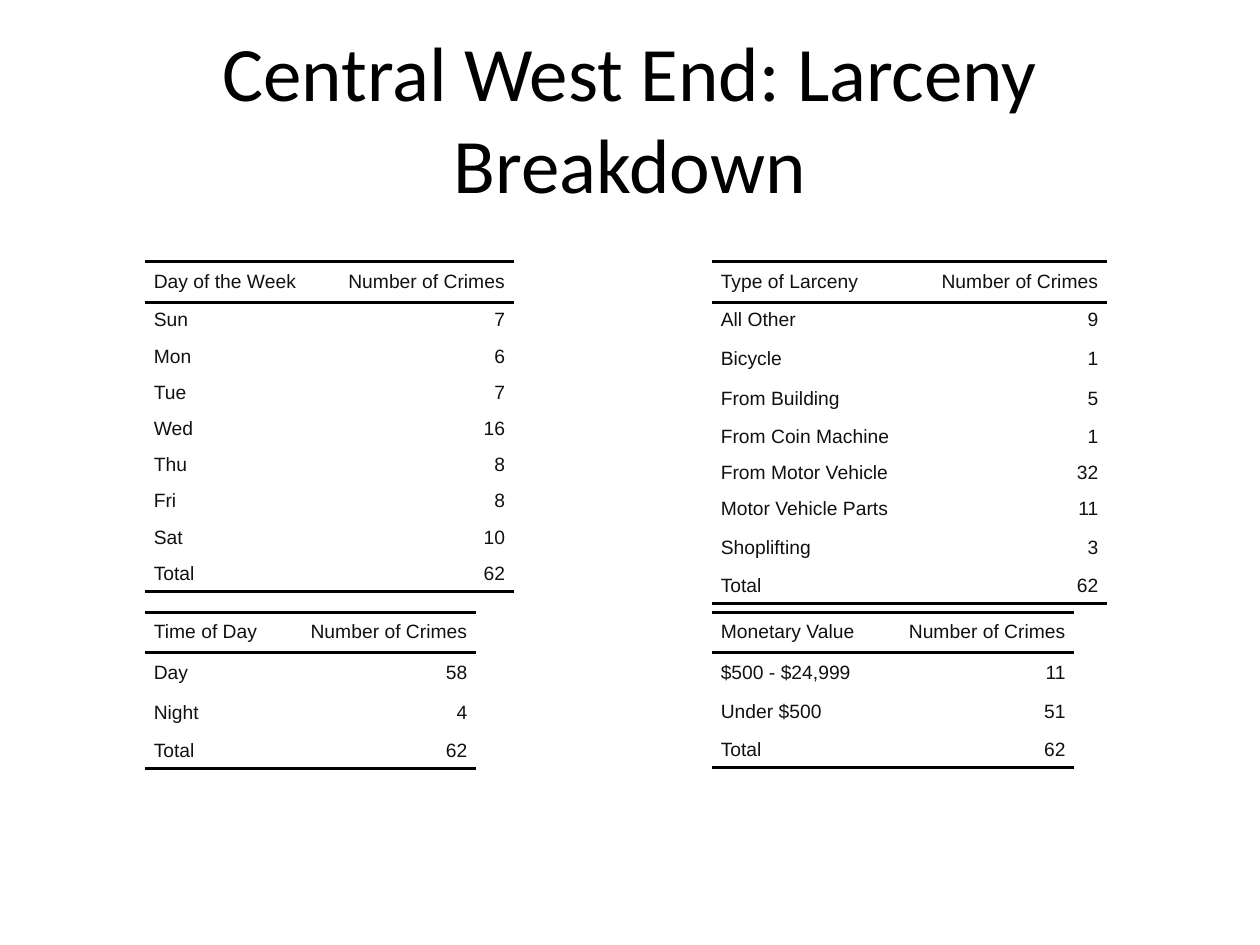
import dataclasses

import lxml.etree
import pptx
import pptx.dml.color
import pptx.enum.text
import pptx.oxml.ns
import pptx.util

Cm = pptx.util.Cm
Pt = pptx.util.Pt
ALIGN = pptx.enum.text.PP_ALIGN
MIDDLE = pptx.enum.text.MSO_ANCHOR.MIDDLE


@dataclasses.dataclass(frozen=True)
class Theme:
    """Colours, fonts and sizes of the slide."""
    title_font: str = "Calibri"
    title_size: int = 44
    title_color: str = "000000"
    table_font: str = "Arial"
    table_size: int = 11
    table_color: str = "111111"
    rule_color: str = "000000"
    rule_width: int = 2
    plain_table_style: str = "{2D5ABB26-0587-4C30-8999-92F81FD0307C}"


THEME = Theme()
TALL, MEDIUM, SHORT = 0.81, 0.79, 0.73
COUNT_WIDTH = 3.86
LEFT, RIGHT = 2.92, 14.35
TOP, BOTTOM = 5.28, 12.34

BREAKDOWNS = [
    (LEFT, TOP, 3.58, "Day of the Week",
     [("Sun", 7, SHORT), ("Mon", 6, SHORT), ("Tue", 7, SHORT),
      ("Wed", 16, SHORT), ("Thu", 8, SHORT), ("Fri", 8, SHORT),
      ("Sat", 10, SHORT), ("Total", 62, SHORT)]),
    (LEFT, BOTTOM, 2.82, "Time of Day",
     [("Day", 58, TALL), ("Night", 4, TALL), ("Total", 62, SHORT)]),
    (RIGHT, TOP, 4.11, "Type of Larceny",
     [("All Other", 9, SHORT), ("Bicycle", 1, TALL),
      ("From Building", 5, TALL), ("From Coin Machine", 1, SHORT),
      ("From Motor Vehicle", 32, SHORT), ("Motor Vehicle Parts", 11, SHORT),
      ("Shoplifting", 3, TALL), ("Total", 62, SHORT)]),
    (RIGHT, BOTTOM, 3.45, "Monetary Value",
     [("$500 - $24,999", 11, TALL), ("Under $500", 51, MEDIUM),
      ("Total", 62, SHORT)]),
]


def style_font(font, name, size, color):
    """Set the typeface, size and colour of a font."""
    font.name = name
    font.size = Pt(size)
    font.color.rgb = pptx.dml.color.RGBColor.from_string(color)


def add_title(slide, left, top, width, height, text):
    """Place the centred slide title in the given box."""
    text_frame = slide.shapes.add_textbox(
        Cm(left), Cm(top), Cm(width), Cm(height)).text_frame
    text_frame.word_wrap = True
    text_frame.vertical_anchor = MIDDLE
    text_frame.text = text
    paragraph = text_frame.paragraphs[0]
    paragraph.alignment = ALIGN.CENTER
    style_font(paragraph.runs[0].font, THEME.title_font, THEME.title_size,
               THEME.title_color)


def add_rule(cell, side):
    """Draw a solid border on one side of a cell."""
    qn = pptx.oxml.ns.qn
    properties = cell._tc.get_or_add_tcPr()
    line = lxml.etree.SubElement(properties, qn(f"a:ln{side}"),
                                 w=str(Pt(THEME.rule_width)))
    fill = lxml.etree.SubElement(line, qn("a:solidFill"))
    lxml.etree.SubElement(fill, qn("a:srgbClr"), val=THEME.rule_color)


def fill_cell(cell, text, alignment, rules):
    """Write one table cell with its alignment, indents and borders."""
    cell.margin_left = cell.margin_right = 0
    cell.margin_top = cell.margin_bottom = 0
    cell.vertical_anchor = MIDDLE
    for side in rules:
        add_rule(cell, side)
    cell.fill.background()
    cell.text_frame.text = text
    paragraph = cell.text_frame.paragraphs[0]
    paragraph.alignment = alignment
    properties = paragraph._p.get_or_add_pPr()
    for margin in ("marL", "marR"):
        properties.set(margin, str(Cm(0.18)))
    style_font(paragraph.runs[0].font, THEME.table_font, THEME.table_size,
               THEME.table_color)


def add_breakdown(slide, left, top, label_width, heading, entries):
    """Place a two-column table of crime counts at the given corner."""
    rows = [(heading, "Number of Crimes", TALL), *entries]
    widths = (label_width, COUNT_WIDTH)
    table = slide.shapes.add_table(
        len(rows), len(widths), Cm(left), Cm(top), Cm(sum(widths)),
        Cm(sum(height for _, _, height in rows))).table
    table.first_row = table.horz_banding = False
    table._tbl.tblPr.find(
        pptx.oxml.ns.qn("a:tableStyleId")).text = THEME.plain_table_style
    for column, width in zip(table.columns, widths):
        column.width = Cm(width)
    rules = {0: "TB", len(rows) - 1: "B"}
    for index, (label, count, height) in enumerate(rows):
        table.rows[index].height = Cm(height)
        sides = rules.get(index, "")
        fill_cell(table.cell(index, 0), label, ALIGN.LEFT, sides)
        fill_cell(table.cell(index, 1), str(count), ALIGN.RIGHT, sides)


def main():
    """Build and save the presentation."""
    presentation = pptx.Presentation()
    presentation.slide_width = Cm(25.4)
    presentation.slide_height = Cm(19.05)
    slide = presentation.slides.add_slide(presentation.slide_layouts[6])
    add_title(slide, 1.27, 0.76, 22.86, 3.18,
              "Central West End: Larceny Breakdown")
    for breakdown in BREAKDOWNS:
        add_breakdown(slide, *breakdown)
    presentation.save("out.pptx")


if __name__ == "__main__":
    main()
